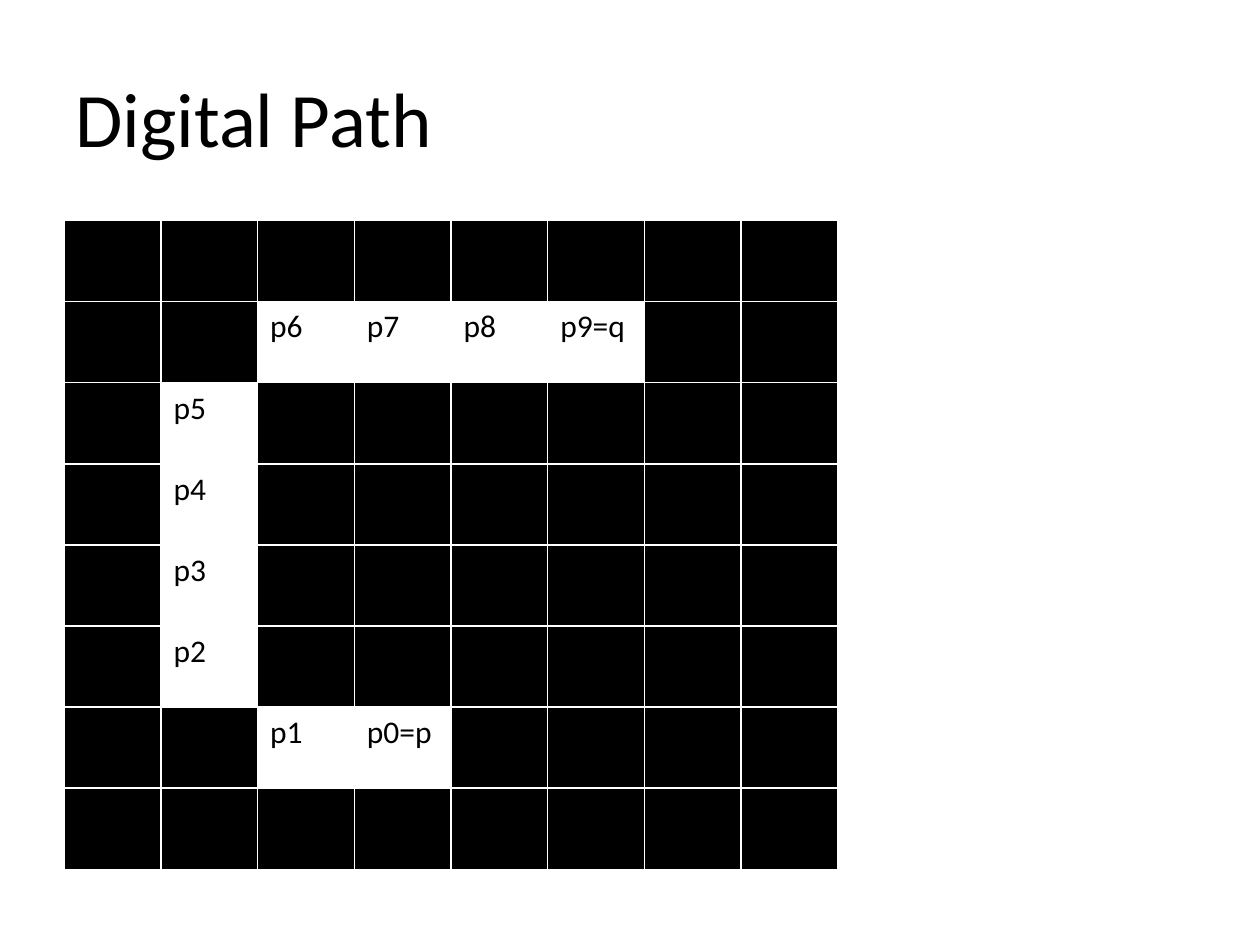
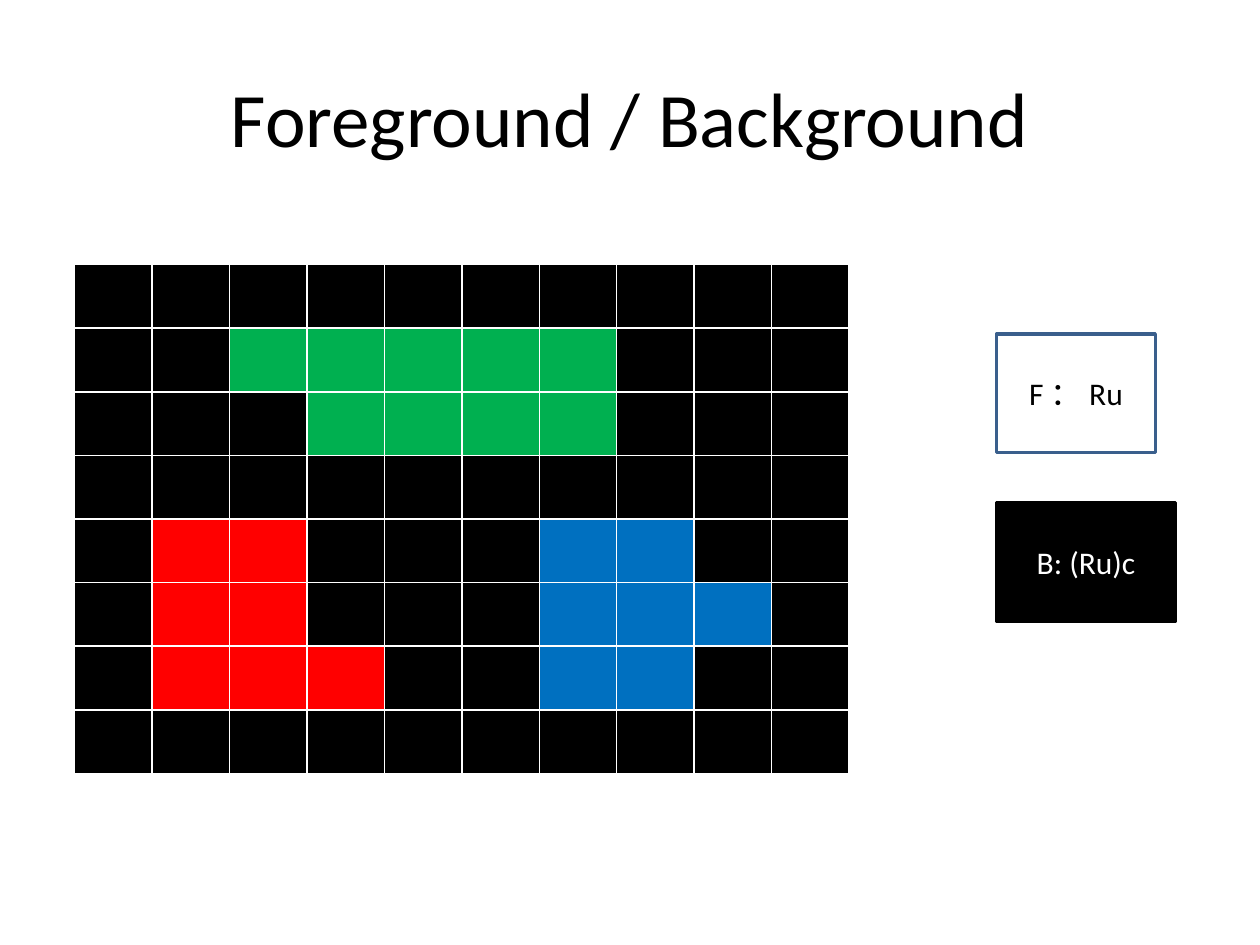
from dataclasses import dataclass, field
from typing import Any

import lxml.etree
import pptx
import pptx.dml.color
import pptx.enum.shapes
import pptx.enum.text
import pptx.oxml.ns
import pptx.util

Inches = pptx.util.Inches
Align = pptx.enum.text.PP_ALIGN
Anchor = pptx.enum.text.MSO_ANCHOR

# Shared look
FONT = "Calibri"
BLACK, WHITE = "000000", "FFFFFF"
GREEN, RED, BLUE = "00B050", "FF0000", "0070C0"
FRAME_BLUE = "3A5F8C"
TITLE_SIZE, BODY_SIZE = 44, 18
PIXEL_COLOURS = {".": BLACK, "W": WHITE, "G": GREEN, "R": RED, "B": BLUE}


@dataclass
class PixelGrid:
    left: float
    top: float
    width: float
    height: float
    pixels: list[str]
    labels: dict[tuple[int, int], str] = field(default_factory=dict)


@dataclass
class LegendBox:
    text: str
    top: float
    width: float
    fill: str
    line: str
    text_colour: str


# Slide 1: path pixels as (row, column), walked from p to q
PATH = [(6, 3), (6, 2), (5, 1), (4, 1), (3, 1), (2, 1), (1, 2), (1, 3), (1, 4), (1, 5)]
PATH_ENDS = {0: "=p", len(PATH) - 1: "=q"}
PATH_GRID = PixelGrid(
    0.51, 1.75, 6.14, 5.15,
    ["".join("W" if (row, col) in PATH else "." for col in range(8)) for row in range(8)],
    {pixel: f"p{i}{PATH_ENDS.get(i, '')}" for i, pixel in enumerate(PATH)},
)

# Slide 2: coloured regions and their legend
REGION_GRID = PixelGrid(
    0.59, 2.1, 6.15, 4.04,
    [
        "..........",
        "..GGGGG...",
        "...GGGG...",
        "..........",
        ".RR...BB..",
        ".RR...BBB.",
        ".RRR..BB..",
        "..........",
    ],
)
LEGEND = [
    LegendBox("B: (Ru)c", 3.99, 1.42, BLACK, BLACK, WHITE),
    LegendBox("F ： Ru", 2.65, 1.26, WHITE, FRAME_BLUE, BLACK),
]


def rgb(value: str) -> pptx.dml.color.RGBColor:
    return pptx.dml.color.RGBColor.from_string(value)


def set_text(tf: Any, text: str, size: int, colour: str = BLACK,
             align: Any = Align.LEFT) -> None:
    p = tf.paragraphs[0]
    p.alignment = align
    r = p.add_run()
    r.text = text
    for name, value in {"name": FONT, "size": pptx.util.Pt(size)}.items():
        setattr(r.font, name, value)
    r.font.color.rgb = rgb(colour)


def add_title(s: Any, text: str, align: Any) -> None:
    sp = s.shapes.add_textbox(Inches(0.5), Inches(0.3), Inches(9), Inches(1.25))
    for name, value in {"word_wrap": True, "vertical_anchor": Anchor.MIDDLE}.items():
        setattr(sp.text_frame, name, value)
    set_text(sp.text_frame, text, TITLE_SIZE, align=align)


def add_borders(cell: Any, colour: str = WHITE, width: float = 1) -> None:
    tc_pr = cell._tc.get_or_add_tcPr()
    qn = pptx.oxml.ns.qn
    for i, side in enumerate(("a:lnL", "a:lnR", "a:lnT", "a:lnB")):
        ln = lxml.etree.Element(qn(side), w=str(int(pptx.util.Pt(width))))
        fill = lxml.etree.SubElement(ln, qn("a:solidFill"))
        lxml.etree.SubElement(fill, qn("a:srgbClr"), val=colour)
        tc_pr.insert(i, ln)


def add_grid(s: Any, grid: PixelGrid) -> None:
    n_rows, n_cols = len(grid.pixels), len(grid.pixels[0])
    table = s.shapes.add_table(
        n_rows, n_cols, Inches(grid.left), Inches(grid.top),
        Inches(grid.width), Inches(grid.height)).table
    for name in ("first_row", "horz_banding"):
        setattr(table, name, False)
    for column in table.columns:
        column.width = Inches(grid.width / n_cols)
    for row in table.rows:
        row.height = Inches(grid.height / n_rows)
    for i, line in enumerate(grid.pixels):
        for j, pixel in enumerate(line):
            cell = table.cell(i, j)
            cell.fill.solid()
            cell.fill.fore_color.rgb = rgb(PIXEL_COLOURS[pixel])
            add_borders(cell)
            if (i, j) in grid.labels:
                set_text(cell.text_frame, grid.labels[i, j], BODY_SIZE)


def add_legend_box(s: Any, box: LegendBox) -> None:
    sp = s.shapes.add_shape(
        pptx.enum.shapes.MSO_SHAPE.RECTANGLE,
        Inches(7.91), Inches(box.top), Inches(box.width), Inches(0.94))
    sp.shadow.inherit = False
    sp.fill.solid()
    sp.fill.fore_color.rgb = rgb(box.fill)
    sp.line.color.rgb = rgb(box.line)
    sp.line.width = pptx.util.Pt(2)
    sp.text_frame.vertical_anchor = Anchor.MIDDLE
    set_text(sp.text_frame, box.text, BODY_SIZE, box.text_colour, Align.CENTER)


def main() -> None:
    prs = pptx.Presentation()
    prs.slide_width, prs.slide_height = Inches(10), Inches(7.5)
    blank = prs.slide_layouts[6]

    # Digital path
    s = prs.slides.add_slide(blank)
    add_title(s, "Digital Path", Align.LEFT)
    add_grid(s, PATH_GRID)

    # Foreground and background
    s = prs.slides.add_slide(blank)
    add_title(s, "Foreground / Background", Align.CENTER)
    add_grid(s, REGION_GRID)
    for box in LEGEND:
        add_legend_box(s, box)

    prs.save("out.pptx")


if __name__ == "__main__":
    main()
